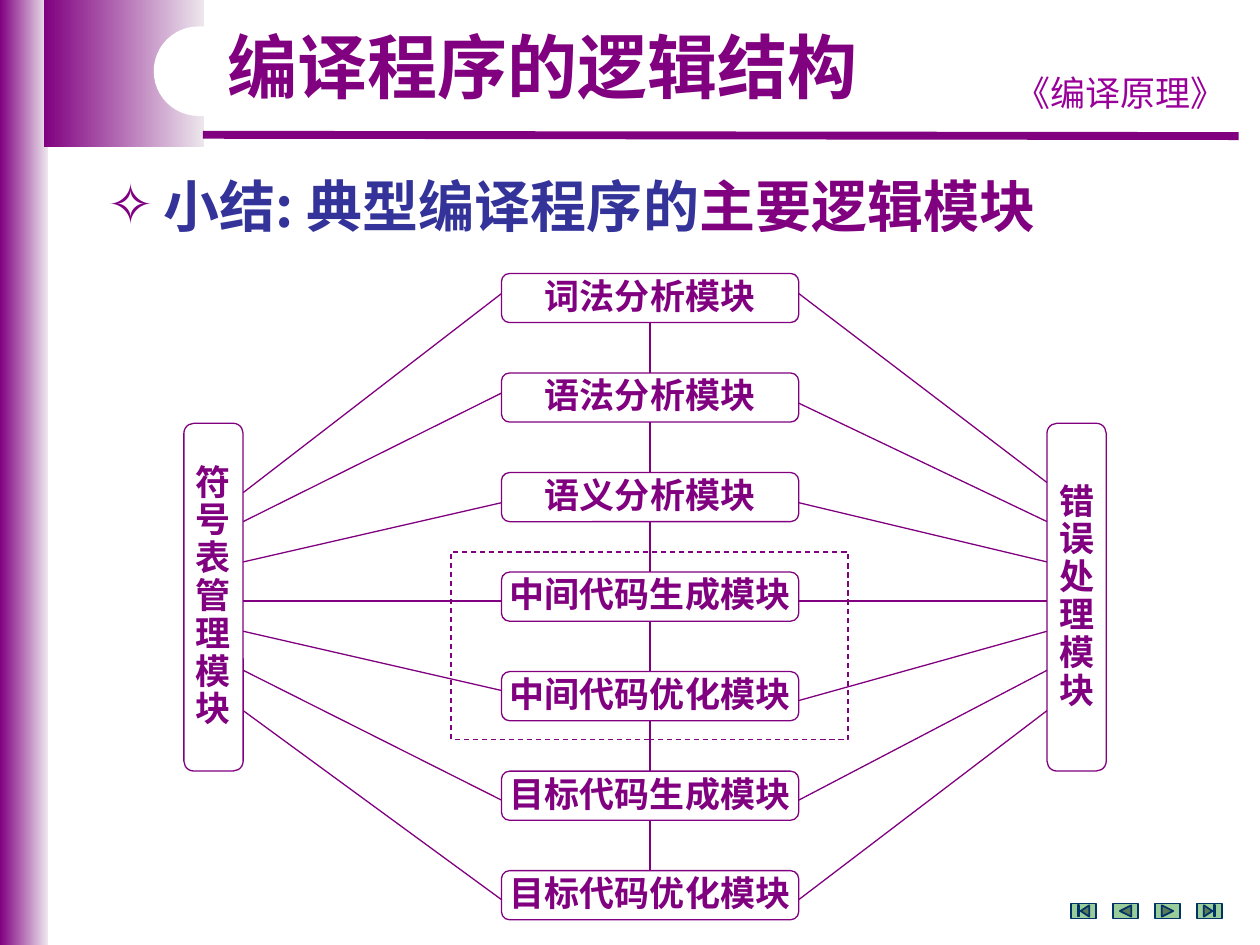
from lxml.etree import SubElement
from pptx import Presentation
from pptx.dml.color import RGBColor
from pptx.enum.dml import MSO_LINE
from pptx.enum.shapes import MSO_CONNECTOR, MSO_SHAPE as SHAPE
from pptx.enum.text import MSO_ANCHOR, MSO_AUTO_SIZE, PP_ALIGN
from pptx.oxml.ns import qn
from pptx.util import Inches, Pt

# Content
TITLE = "编译程序的逻辑结构"
COURSE = "《编译原理》"
SUMMARY = [("小结: 典型编译程序的", "333399"), ("主要逻辑模块", "800080")]
MODULES = ["词法分析模块", "语法分析模块", "语义分析模块", "中间代码生成模块",
           "中间代码优化模块", "目标代码生成模块", "目标代码优化模块"]
SYMBOL_TABLE = "符号表管理模块"
ERROR_HANDLING = "错误处理模块"
BUTTONS = [SHAPE.ACTION_BUTTON_BEGINNING, SHAPE.ACTION_BUTTON_BACK_OR_PREVIOUS,
           SHAPE.ACTION_BUTTON_FORWARD_OR_NEXT, SHAPE.ACTION_BUTTON_END]

# Heights where the side links touch, from the first module to the last
SYMBOL_ENDS = [3.91, 4.14, 4.46, 4.77, 5.01, 5.32, 5.64]
MODULE_LEFT_ENDS = [2.33, 3.12, 3.99, 4.77, 5.48, 6.35, 7.14]
MODULE_RIGHT_ENDS = [2.33, 3.2, 3.99, 4.77, 5.56, 6.35, 7.14]
ERROR_ENDS = [3.83, 4.14, 4.46, 4.77, 5.01, 5.32, 5.64]

PURPLE, PALE, WHITE = "800080", "EDE7ED", "FFFFFF"
CJK = "Noto Sans CJK SC"
MODULE_X, MODULE_Y, MODULE_W, MODULE_H, MODULE_STEP = 3.98, 2.17, 2.36, 0.39, 0.79
SYMBOL_X, ERROR_X, SIDE_Y, SIDE_W, SIDE_H = 1.46, 8.31, 3.36, 0.47, 2.76

prs = Presentation()
prs.slide_width, prs.slide_height = Inches(10), Inches(7.5)
slide = prs.slides.add_slide(prs.slide_layouts[1])
shapes = slide.shapes


def rgb(value):
    return RGBColor.from_string(value)


def write(shape, text, size=20, color=PURPLE, font=CJK, bold=True,
          align=PP_ALIGN.CENTER, spacing=0.9, wrap=False, bullet=None, indent=0.45):
    """Text is a string (one paragraph a line) or a list of (text, color) runs."""
    frame = shape.text_frame
    frame.auto_size = MSO_AUTO_SIZE.NONE
    frame.word_wrap = wrap
    frame.vertical_anchor = MSO_ANCHOR.MIDDLE
    lines = [[(t, color)] for t in text.split("\n")] if isinstance(text, str) else [text]
    for i, runs in enumerate(lines):
        paragraph = frame.paragraphs[0] if i == 0 else frame.add_paragraph()
        paragraph.alignment = align
        paragraph.line_spacing = spacing
        paragraph.space_before = Pt(0)
        if bullet:
            props = paragraph._p.get_or_add_pPr()
            props.set("marL", str(Inches(indent)))
            props.set("indent", str(-Inches(indent)))
            bullet_color = SubElement(props, qn("a:buClr"))
            SubElement(bullet_color, qn("a:srgbClr")).set("val", PURPLE)
            SubElement(props, qn("a:buChar")).set("char", bullet)
        for words, run_color in runs:
            run = paragraph.add_run()
            run.text = words
            run.font.size, run.font.bold, run.font.name = Pt(size), bold, font
            run.font.color.rgb = rgb(run_color)
            SubElement(run._r.get_or_add_rPr(), qn("a:ea")).set("typeface", CJK)


def place(shape, x, y, w, h):
    shape.left, shape.top, shape.width, shape.height = map(Inches, (x, y, w, h))


def add_box(kind, x, y, w, h, fill=None, fade=None, line=None, width=0.75):
    box = shapes.add_shape(kind, *map(Inches, (x, y, w, h)))
    box.shadow.inherit = False
    if fade:
        box.fill.gradient()
        box.fill.gradient_angle = 0
        for stop, color in zip(box.fill.gradient_stops, (fill, fade)):
            stop.color.rgb = rgb(color)
    elif fill:
        box.fill.solid()
        box.fill.fore_color.rgb = rgb(fill)
    else:
        box.fill.background()
    if line:
        box.line.color.rgb = rgb(line)
        box.line.width = Pt(width)
    else:
        box.line.fill.background()
    return box


def add_link(x1, y1, x2, y2, width=0.75):
    link = shapes.add_connector(MSO_CONNECTOR.STRAIGHT, *map(Inches, (x1, y1, x2, y2)))
    link.line.color.rgb = rgb(PURPLE)
    link.line.width = Pt(width)
    SubElement(link._element.spPr, qn("a:effectLst"))
    return link


def add_module(text, x, y, w, h):
    module = add_box(SHAPE.ROUNDED_RECTANGLE, x, y, w, h, fill=WHITE, line=PURPLE)
    write(module, text)
    return module


# Template decoration
add_box(SHAPE.RECTANGLE, 0, 0, 0.38, 7.5, fill=PURPLE, fade=PALE)
add_box(SHAPE.RECTANGLE, 0.35, 0, 1.27, 1.17, fill=PURPLE, fade=PALE)
add_link(1.61, 1.07, 9.83, 1.08, width=4.5)
course = shapes.add_textbox(*map(Inches, (7.91, 0.52, 1.97, 0.43)))
write(course, COURSE, color="990099", bold=False, spacing=1, wrap=True)
notch = add_box(SHAPE.ROUNDED_RECTANGLE, 1.22, 0.21, 3.62, 0.71, fill=WHITE)
notch.adjustments[0] = 0.5

# Navigation buttons
for i, kind in enumerate(BUTTONS):
    add_box(kind, 8.5 + i / 3, 7.17, 0.2, 0.12, fill="99CC99", line="003366", width=1)

# Title and summary, brought in front of the decoration
title, summary = shapes.title, slide.placeholders[1]
place(title, 1.65, 0.21, 5.31, 0.7)
write(title, TITLE, size=40, font="Arial", wrap=True)
place(summary, 0.75, 1.31, 7.88, 0.63)
write(summary, SUMMARY, size=32, align=PP_ALIGN.LEFT, spacing=1, wrap=True, bullet="✧")
for placeholder in (title, summary):
    shapes.element.append(placeholder.element)

# Modules: a central chain between two tall side boxes
chain = [add_module(name, MODULE_X, MODULE_Y + i * MODULE_STEP, MODULE_W, MODULE_H)
         for i, name in enumerate(MODULES)]
for name, x in ((SYMBOL_TABLE, SYMBOL_X), (ERROR_HANDLING, ERROR_X)):
    add_module("\n".join(name), x, SIDE_Y, SIDE_W, SIDE_H)

# Links down the chain, then out to both sides
for upper, lower in zip(chain, chain[1:]):
    link = add_link(0, 0, 1, 1)
    link.begin_connect(upper, 2)
    link.end_connect(lower, 0)
for x1, starts, x2, ends in (
        (SYMBOL_X + SIDE_W, SYMBOL_ENDS, MODULE_X, MODULE_LEFT_ENDS),
        (MODULE_X + MODULE_W, MODULE_RIGHT_ENDS, ERROR_X, ERROR_ENDS)):
    for y1, y2 in zip(starts, ends):
        add_link(x1, y1, x2, y2)

# Dashed frame around the intermediate code modules
frame = add_box(SHAPE.RECTANGLE, 3.58, 4.38, 3.15, 1.49, line=PURPLE)
frame.line.dash_style = MSO_LINE.DASH

prs.save("out.pptx")
